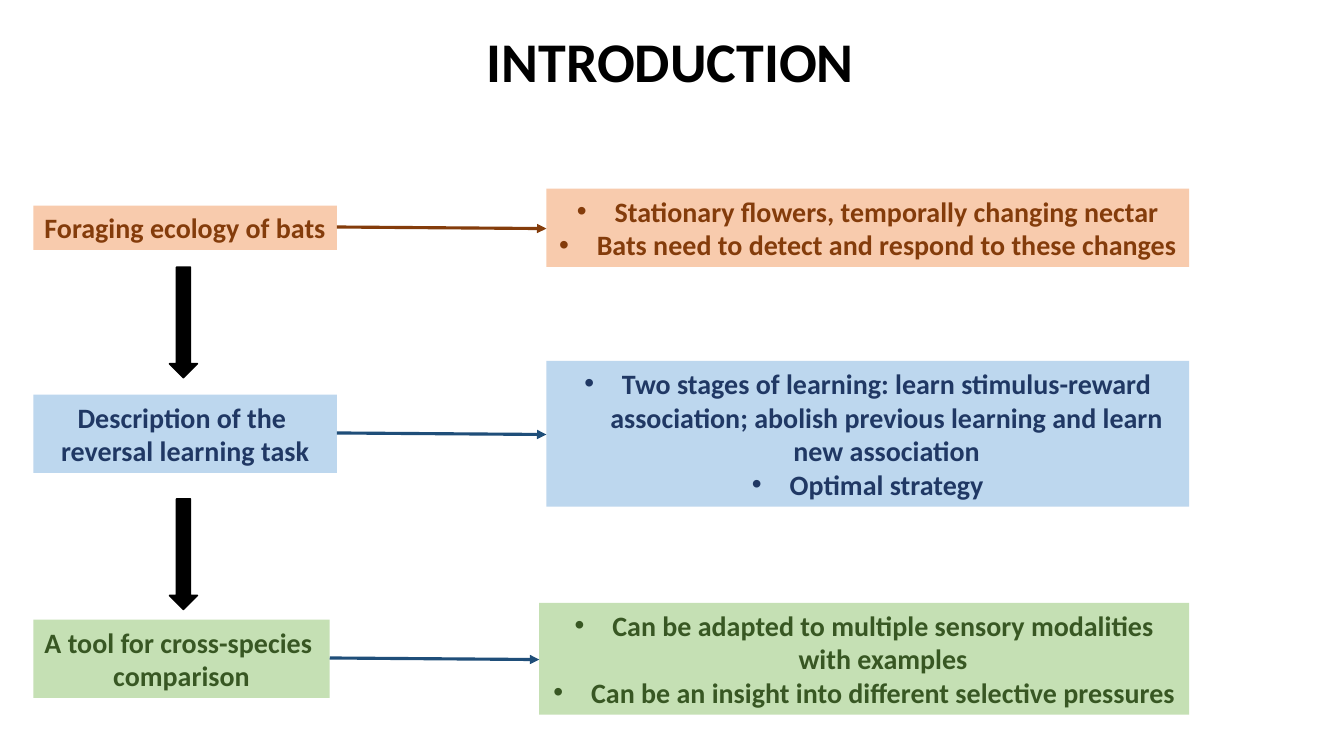
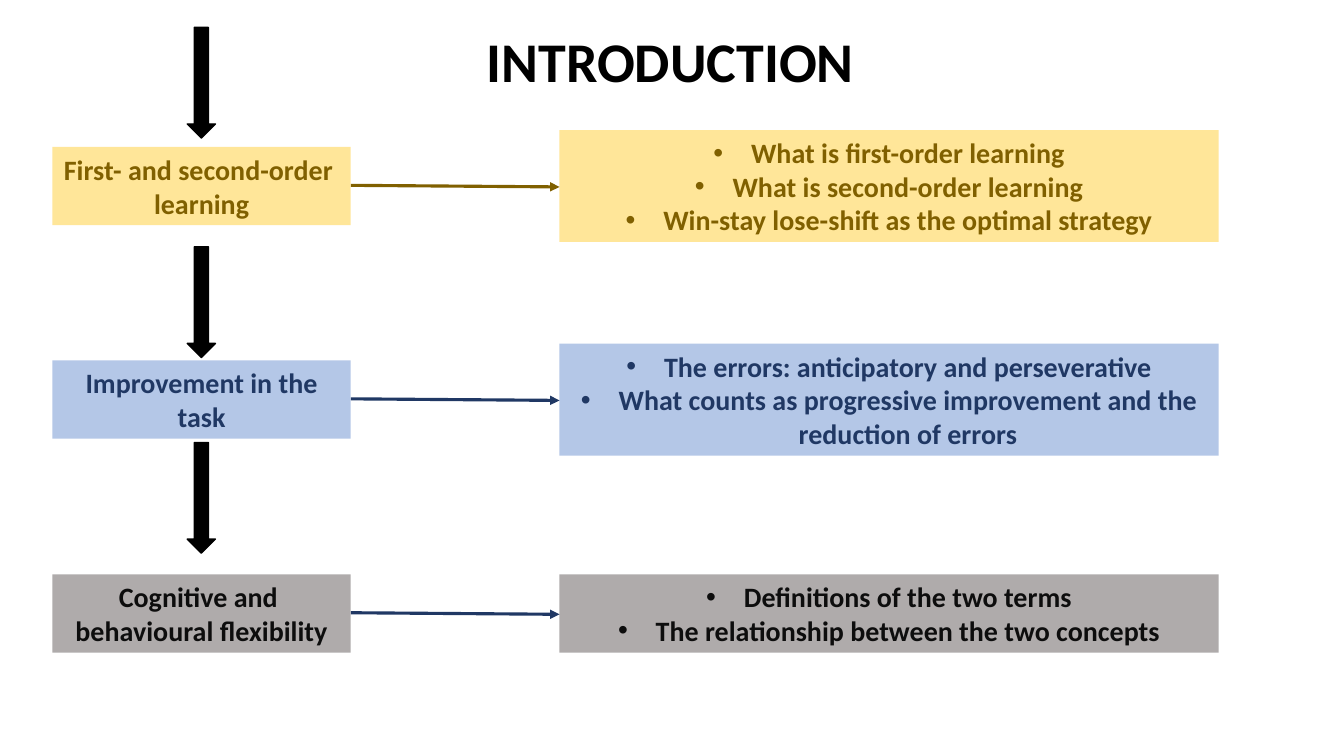
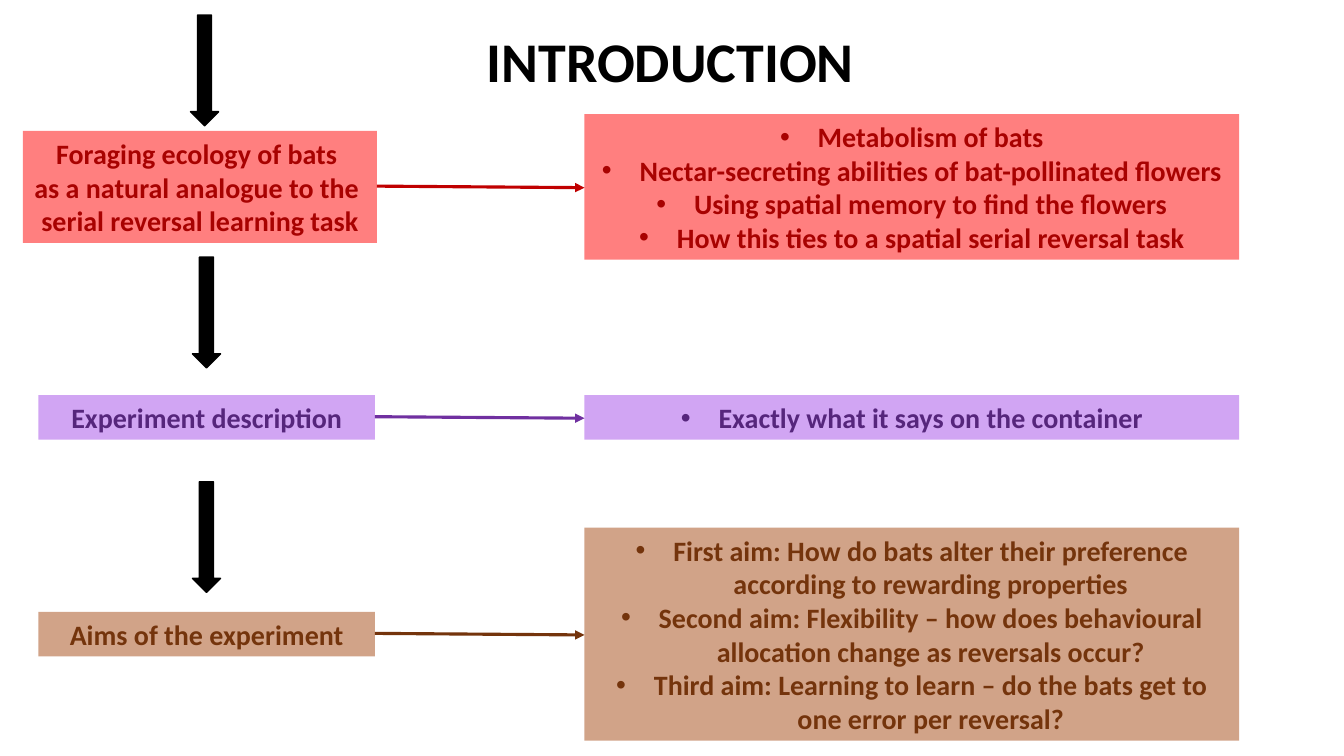
import dataclasses

import lxml.etree
import pptx
import pptx.dml.color
import pptx.enum.shapes
import pptx.enum.text
import pptx.oxml
import pptx.oxml.ns
import pptx.util

Cm = pptx.util.Cm
Pt = pptx.util.Pt
qn = pptx.oxml.ns.qn

# Shared style, lengths in centimetres
FONT = "Calibri"
BLACK = "000000"
TITLE_BOX = (12.01, 0.53, 9.86, 1.96)
LINE_HEIGHT = 0.85
BOX_PADDING = 0.27
BULLET_INDENT = 0.95
ARROW_WIDTH, ARROW_HEIGHT = 0.71, 2.79
CONNECTOR_DROP = 0.04


@dataclasses.dataclass
class Topic:
    """One row: a label, a connector and a box of bulleted details."""
    middle: float
    label_span: tuple  # left, width
    detail_span: tuple
    label: list
    label_lines: int
    details: list
    detail_lines: int
    fill: str
    text: str
    line: str
    opacity: int = 100


def color(hex_string):
    return pptx.dml.color.RGBColor.from_string(hex_string)


def format_runs(paragraph, size, text_color):
    for run in paragraph.runs:
        run.font.name = FONT
        run.font.size = Pt(size)
        run.font.bold = True
        run.font.color.rgb = color(text_color)


def add_bullet(paragraph):
    properties = paragraph._p.get_or_add_pPr()
    properties.set("marL", str(Cm(BULLET_INDENT)))
    properties.set("indent", str(-Cm(BULLET_INDENT)))
    font = lxml.etree.SubElement(properties, qn("a:buFont"))
    font.set("typeface", "Arial")
    bullet = lxml.etree.SubElement(properties, qn("a:buChar"))
    bullet.set("char", "•")


def set_fill(shape, fill_color, opacity=100):
    shape.fill.solid()
    shape.fill.fore_color.rgb = color(fill_color)
    if opacity < 100:
        value = shape._element.spPr.find(qn("a:solidFill"))[0]
        alpha = lxml.etree.SubElement(value, qn("a:alpha"))
        alpha.set("val", str(opacity * 1000))


def add_title(slide, text):
    title = slide.shapes.title
    title.left, title.top, title.width, title.height = map(Cm, TITLE_BOX)
    frame = title.text_frame
    frame.text = text
    frame.word_wrap = False
    frame.auto_size = pptx.enum.text.MSO_AUTO_SIZE.NONE
    frame.paragraphs[0].alignment = pptx.enum.text.PP_ALIGN.LEFT
    format_runs(frame.paragraphs[0], 40, BLACK)


def add_text_box(slide, topic, span, texts, lines, bulleted):
    """Fill a box, centred on the topic's middle, as tall as its lines."""
    left, width = span
    height = BOX_PADDING + lines * LINE_HEIGHT
    shape = slide.shapes.add_shape(
        pptx.enum.shapes.MSO_SHAPE.RECTANGLE,
        Cm(left), Cm(topic.middle - height / 2), Cm(width), Cm(height))
    shape.shadow.inherit = False
    shape.line.fill.background()
    set_fill(shape, topic.fill, topic.opacity)
    frame = shape.text_frame
    frame.text = "\n".join(texts)
    frame.word_wrap = bulleted or lines > len(texts)
    frame.auto_size = pptx.enum.text.MSO_AUTO_SIZE.SHAPE_TO_FIT_TEXT
    for paragraph in frame.paragraphs:
        paragraph.alignment = pptx.enum.text.PP_ALIGN.CENTER
        if bulleted:
            add_bullet(paragraph)
        format_runs(paragraph, 20, topic.text)


def add_connector(slide, topic):
    start = sum(topic.label_span)
    end = topic.detail_span[0]
    connector = slide.shapes.add_connector(
        pptx.enum.shapes.MSO_CONNECTOR.STRAIGHT,
        Cm(start), Cm(topic.middle - CONNECTOR_DROP / 2),
        Cm(end), Cm(topic.middle + CONNECTOR_DROP / 2))
    connector.line.width = Pt(2.25)
    connector.line.color.rgb = color(topic.line)
    tail = lxml.etree.SubElement(connector.line._get_or_add_ln(), qn("a:tailEnd"))
    tail.set("type", "triangle")
    lxml.etree.SubElement(connector._element.spPr, qn("a:effectLst"))


def add_topic(slide, topic):
    add_text_box(slide, topic, topic.label_span, topic.label,
                 topic.label_lines, False)
    add_text_box(slide, topic, topic.detail_span, topic.details,
                 topic.detail_lines, True)
    add_connector(slide, topic)


def add_down_arrow(slide, left, top):
    arrow = slide.shapes.add_shape(
        pptx.enum.shapes.MSO_SHAPE.DOWN_ARROW,
        Cm(left), Cm(top), Cm(ARROW_WIDTH), Cm(ARROW_HEIGHT))
    arrow.shadow.inherit = False
    set_fill(arrow, BLACK)
    arrow.line.color.rgb = color(BLACK)
    arrow.line.width = Pt(1)


def add_outline_slide(presentation, topics, arrows):
    slide = presentation.slides.add_slide(presentation.slide_layouts[5])
    add_title(slide, "INTRODUCTION")
    for topic in topics:
        add_topic(slide, topic)
    for left, top in arrows:
        add_down_arrow(slide, left, top)


# Slide 1: ecology, task and comparison
task_topics = [
    Topic(5.74, (0.84, 7.65), (13.77, 16.2),
          ["Foraging ecology of bats"], 1,
          ["Stationary flowers, temporally changing nectar",
           "Bats need to detect and respond to these changes"], 2,
          "F8CBAD", "843C0B", "843C0B"),
    Topic(10.93, (0.84, 7.65), (13.77, 16.2),
          ["Description of the ", "reversal learning task"], 2,
          ["Two stages of learning: learn stimulus-reward association; "
           "abolish previous learning and learn new association",
           "Optimal strategy"], 4,
          "BDD7EE", "203864", "1F4E79"),
    Topic(16.6, (0.84, 7.47), (13.59, 16.38),
          ["A tool for cross-species ", "comparison"], 2,
          ["Can be adapted to multiple sensory modalities with examples",
           "Can be an insight into different selective pressures"], 3,
          "C5E0B4", "385723", "1F4E79"),
]
task_arrows = [(4.27, 6.73), (4.27, 12.57)]

# Slide 2: learning, improvement and flexibility
learning_spans = ((1.32, 7.52), (14.1, 16.61))
learning_topics = [
    Topic(4.69, *learning_spans,
          ["First- and second-order ", "learning"], 2,
          ["What is first-order learning",
           "What is second-order learning",
           "Win-stay lose-shift as the optimal strategy"], 3,
          "FFE699", "806000", "806000"),
    Topic(10.07, *learning_spans,
          ["Improvement in the task"], 2,
          ["The errors: anticipatory and perseverative",
           "What counts as progressive improvement and the "
           "reduction of errors"], 3,
          "B4C7E7", "203864", "203864"),
    Topic(15.46, *learning_spans,
          ["Cognitive and ", "behavioural flexibility"], 2,
          ["Definitions of the two terms",
           "The relationship between the two concepts"], 2,
          "AFABAB", "0D0D0D", "203864"),
]
learning_arrows = [(4.72, 0.69), (4.72, 6.22), (4.72, 11.15)]

# Slide 3: natural analogue, experiment and aims
experiment_spans = ((0.97, 8.48), (14.73, 16.5))
experiment_topics = [
    Topic(4.71, (0.58, 8.92), experiment_spans[1],
          ["Foraging ecology of bats ", "as a natural analogue to the ",
           "serial reversal learning task"], 3,
          ["Metabolism of bats",
           "Nectar-secreting abilities of bat-pollinated flowers",
           "Using spatial memory to find the flowers",
           "How this ties to a spatial serial reversal task"], 4,
          "FF0000", "A80201", "C00000", 50),
    Topic(10.52, *experiment_spans,
          ["Experiment description"], 1,
          ["Exactly what it says on the container"], 1,
          "A44CE9", "56267C", "7030A0", 50),
    Topic(15.98, *experiment_spans,
          ["Aims of the experiment"], 1,
          ["First aim: How do bats alter their preference according to "
           "rewarding properties",
           "Second aim: Flexibility – how does behavioural allocation "
           "change as reversals occur?",
           "Third aim: Learning to learn – do the bats get to one error "
           "per reversal?"], 6,
          "A44913", "74340C", "74340C", 50),
]
experiment_arrows = [(4.8, 0.38), (4.85, 6.48), (4.85, 12.14)]

presentation = pptx.Presentation()
presentation.slide_width = Cm(33.87)
presentation.slide_height = Cm(19.05)
add_outline_slide(presentation, task_topics, task_arrows)
add_outline_slide(presentation, learning_topics, learning_arrows)
add_outline_slide(presentation, experiment_topics, experiment_arrows)
presentation.save("out.pptx")
